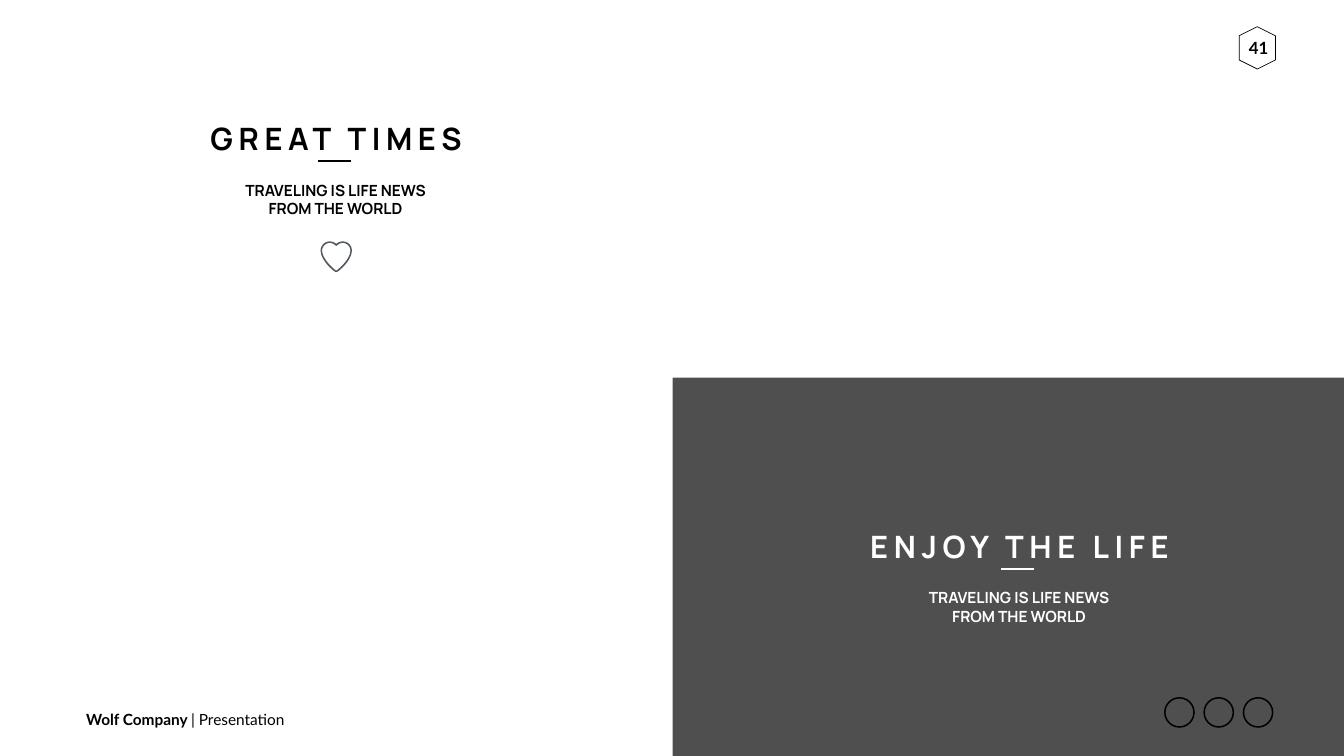
from lxml import etree
from pptx import Presentation
from pptx.dml.color import RGBColor
from pptx.enum.shapes import MSO_CONNECTOR, MSO_SHAPE
from pptx.enum.text import MSO_ANCHOR, MSO_AUTO_SIZE, PP_ALIGN
from pptx.oxml.ns import qn
from pptx.util import Pt

PX = 9144  # one px is a hundredth of an inch
FINE = 100  # freeform units per px
STRAIGHT = MSO_CONNECTOR.STRAIGHT
RECTANGLE, HEXAGON, DONUT = MSO_SHAPE.RECTANGLE, MSO_SHAPE.HEXAGON, MSO_SHAPE.DONUT
LEFT, CENTER = PP_ALIGN.LEFT, PP_ALIGN.CENTER
TOP, MIDDLE = MSO_ANCHOR.TOP, MSO_ANCHOR.MIDDLE
FIT_SHAPE = MSO_AUTO_SIZE.SHAPE_TO_FIT_TEXT

BLACK, WHITE, SLATE = "000000", "FFFFFF", "53585F"
BODY_FONT, TITLE_FONT = "Lato", "Manrope"
DEFAULT_INSETS = (10, 5, 10, 5)

# Right half of the heart: start, then cubic curves, from the notch to the tip
HEART_OUTER = ((0, 5), [((3, 2), (8, 0), (13, 0)),
                        ((23, 0), (31, 8), (31, 18)),
                        ((31, 38), (4, 61), (0, 61))])
HEART_INNER = ((0, 9), [((5, 5), (8, 3), (13, 3)),
                        ((21, 3), (28, 10), (28, 18)),
                        ((28, 35), (5, 55), (0, 58))])


def color(hex_string):
    return RGBColor.from_string(hex_string)


def curve_points(start, curves, steps=12):
    points = [start]
    for first, second, end in curves:
        begin = points[-1]
        for step in range(1, steps + 1):
            t = step / steps
            u = 1 - t
            points.append(tuple(
                u**3 * a + 3 * u * u * t * b + 3 * u * t * t * c + t**3 * d
                for a, b, c, d in zip(begin, first, second, end)))
    return points


class Painter:
    def __init__(self, slide):
        self.shapes = slide.shapes

    def shape(self, kind, box, fill=None, line=None, alpha=None, rotation=0):
        shape = self.shapes.add_shape(kind, *(value * PX for value in box))
        shape.shadow.inherit = False
        shape.rotation = rotation
        if fill:
            shape.fill.solid()
            shape.fill.fore_color.rgb = color(fill)
        else:
            shape.fill.background()
        if line:
            shape.line.color.rgb = color(line)
            shape.line.width = Pt(1)
        else:
            shape.line.fill.background()
        if alpha:
            tint = shape.fill._xPr.find(".//" + qn("a:srgbClr"))
            etree.SubElement(tint, qn("a:alpha")).set("val", str(alpha * 1000))
        return shape

    def rule(self, left, top, width, stroke):
        line = self.shapes.add_connector(
            STRAIGHT, left * PX, top * PX, (left + width) * PX, top * PX)
        line.line.color.rgb = color(stroke)
        line.line.width = Pt(3)
        etree.SubElement(line._element.spPr, qn("a:effectLst"))

    def text(self, box, paragraphs, font, size, ink=BLACK, align=CENTER,
             anchor=TOP, insets=DEFAULT_INSETS, wrap=False, leading=None, tracking=0):
        """Each paragraph is a list of (words, bold) spans."""
        frame = self.shapes.add_textbox(*(value * PX for value in box)).text_frame
        frame.word_wrap = wrap
        frame.auto_size = FIT_SHAPE
        frame.vertical_anchor = anchor
        (frame.margin_left, frame.margin_top,
         frame.margin_right, frame.margin_bottom) = (value * PX for value in insets)
        for index, spans in enumerate(paragraphs):
            para = frame.add_paragraph() if index else frame.paragraphs[0]
            para.alignment = align
            para.font.name = font
            para.font.size = Pt(size)
            para.font.color.rgb = color(ink)
            if leading:
                para.line_spacing = Pt(leading)
            for words, bold in spans:
                span = para.add_run()
                span.text = words
                span.font.bold = bold
                if tracking:
                    span._r.get_or_add_rPr().set("spc", str(tracking * 100))

    def heart(self, center, top, fill):
        builder = None
        for start, curves in (HEART_OUTER, HEART_INNER):
            half = curve_points(start, curves)
            outline = half + [(-x, y) for x, y in reversed(half[1:-1])]
            points = [(round((center + x) * FINE), round((top + y) * FINE))
                      for x, y in outline]
            if builder is None:
                builder = self.shapes.build_freeform(*points[0], scale=PX / FINE)
            else:
                builder.move_to(*points[0])
            builder.add_line_segments(points[1:], close=True)
        heart = builder.convert_to_shape()
        heart.shadow.inherit = False
        heart.fill.solid()
        heart.fill.fore_color.rgb = color(fill)
        heart.line.fill.background()

    def headline(self, title, title_box, rule_left, subtitle_left, ink):
        left, top, width = title_box
        self.rule(rule_left, top + 112, 65, ink)
        self.text((left, top, width, 104), [[(title, True)]], TITLE_FONT, 44, ink,
                  anchor=MIDDLE, insets=(0, 0, 0, 0), leading=74, tracking=8)
        self.text((subtitle_left, top + 145, 475, 86),
                  [[("TRAVELING IS LIFE NEWS", True)], [("FROM THE WORLD", True)]],
                  TITLE_FONT, 22, ink, wrap=True, leading=26.8)


def main():
    deck = Presentation()
    deck.slide_width, deck.slide_height = 2666 * PX, 1500 * PX
    page = deck.slides.add_slide(deck.slide_layouts[6])
    painter = Painter(page)

    # Footer and page number
    painter.text((161, 1403, 417, 47),
                 [[("Wolf Company ", True), ("| Presentation", False)]],
                 BODY_FONT, 22, align=LEFT, anchor=MIDDLE)
    painter.shape(HEXAGON, (2452, 59, 84, 72), line=BLACK, rotation=90)
    painter.text((2453, 65, 95, 61), [[("41", True)]], BODY_FONT, 24,
                 insets=(20, 10, 28, 10))

    # Plain rings for the social buttons
    for index in range(3):
        ring = painter.shape(DONUT, (2309 + 78 * index, 1383, 61, 61), fill=BLACK)
        ring.adjustments[0] = 0.05

    # Dark panel
    painter.shape(RECTANGLE, (1334, 749, 1332, 751), fill=BLACK, alpha=69)

    # Headlines
    painter.headline("ENJOY THE LIFE", (1700, 1017, 645), 1986, 1784, WHITE)
    painter.headline("GREAT TIMES", (398, 208, 538), 631, 428, BLACK)
    painter.heart(667, 479, SLATE)

    deck.save("out.pptx")


if __name__ == "__main__":
    main()
